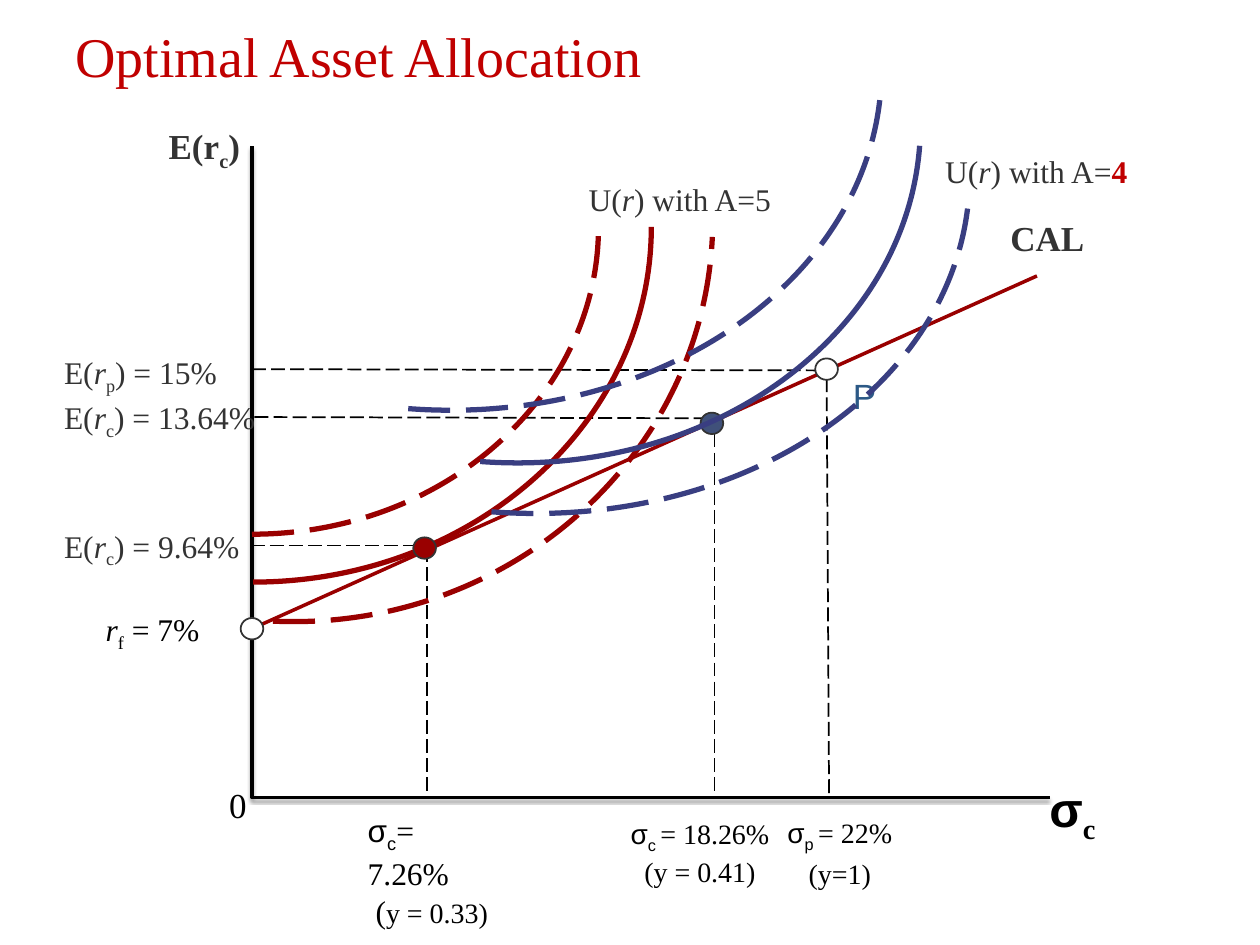
import pptx
import pptx.util
import pptx.dml.color
import pptx.enum.dml
import pptx.enum.shapes
import pptx.enum.text
import pptx.oxml
import pptx.oxml.ns
from dataclasses import dataclass

Inches = pptx.util.Inches
Pt = pptx.util.Pt
qn = pptx.oxml.ns.qn


@dataclass(frozen=True)
class Theme:
    serif: str = "Times New Roman"
    sans: str = "Arial"
    black: str = "000000"
    white: str = "FFFFFF"
    gray: str = "333333"
    red: str = "990000"
    accent: str = "C00000"
    navy: str = "393E81"
    slate: str = "40517A"
    blue: str = "2C5986"
    title: int = 32
    symbol: int = 28
    heading: int = 20
    label: int = 18
    note: int = 16


theme = Theme()
sub = {"sub": True}
italic = {"italic": True}
serif = {"name": theme.serif}
sans = {"name": theme.sans}
sans_sub = {**sans, **sub}

axes = [(2, 1.16), (2, 6.33), (8.33, 6.33)]
capital_line = ((2, 4.99), (8.23, 2.19))
guides = [
    ((2, 2.93), (6.56, 2.94)), ((6.56, 2.85), (6.58, 6.33)),
    ((1.99, 4.33), (3.39, 4.33)), ((3.39, 4.35), (3.39, 6.33)),
    ((2.02, 3.31), (5.58, 3.32)), ((5.67, 3.44), (5.67, 6.31)),
]
optimal_red = ((2.01, 1.8, 3.16, 2.82), 0, theme.red, False)
other_curves = [
    ((2, 1.8, 2.75, 2.44), 0, theme.red, True),
    ((2.24, 1.8, 3.34, 3.21), 2.7, theme.red, True),
    ((3.34, 0.57, 3.55, 2.81), 4.3, theme.navy, True),
    ((3.91, 1.03, 3.29, 2.76), 4.3, theme.navy, False),
    ((4, 1.41, 3.59, 2.79), 4.3, theme.navy, True),
]
markers = [
    (6.56, 2.93, theme.white), (3.37, 4.35, theme.red),
    (2, 4.99, theme.white), (5.65, 3.36, theme.slate),
]


def expected_return(top, width, letter, value):
    runs = [("E(", {}), ("r", italic), (letter, sub), (f") = {value}", {})]
    return dict(at=(0.41, top, width, 0.44), wrap=False, color=theme.gray, lines=[runs])


def utility(left, top, *ending):
    runs = [("U(", {}), ("r", italic), *ending]
    return dict(at=(left, top, 1.85, 0.4), center=True, color=theme.gray, lines=[runs])


labels = [
    dict(at=(0.5, 0.17, 9, 0.58), size=theme.title, color=theme.accent, bottom=True,
         lines=[[("Optimal Asset Allocation", {})]]),
    expected_return(2.75, 1.41, "p", "15%"),
    expected_return(3.11, 1.72, "c", "13.64%"),
    expected_return(4.13, 1.59, "c", "9.64%"),
    dict(at=(0.74, 4.79, 1, 0.44), wrap=False,
         lines=[[("r", italic), ("f", sub), (" = 7%", {})]]),
    dict(at=(1.72, 6.17, 0.29, 0.43), size=theme.heading, lines=[[("0", {})]]),
    dict(at=(6.67, 2.92, 0.38, 0.43), size=theme.heading, font=theme.sans,
         color=theme.blue, wrap=False, lines=[[("P", {})]]),
    dict(at=(7.92, 1.67, 1.08, 0.43), size=theme.heading, color=theme.gray,
         bold=True, lines=[[("CAL", {})]]),
    dict(at=(1.24, 0.94, 1, 0.48), size=theme.heading, color=theme.gray,
         bold=True, lines=[[("E(r", {}), ("c", sub), (")", {})]]),
    utility(4.47, 1.38, (") with A=5", {})),
    utility(7.3, 1.16, (") with A=", {}), ("4", {"bold": True, "color": theme.accent})),
    dict(at=(8.23, 6.13, 0.67, 0.63), size=theme.symbol, bold=True, font=None,
         lines=[[("σ", sans), ("c", {**serif, **sub})]]),
    dict(at=(2.82, 6.39, 1.2, 1.07), font=None,
         lines=[[("σ", sans), ("c", sans_sub), ("= 7.26%", serif)],
                [(" (", serif), ("y = 0.33)", {**serif, "size": theme.note})]]),
    dict(at=(4.88, 6.43, 1.35, 0.67), size=theme.note, font=None, center=True,
         lines=[[("σ", sans), ("c ", sans_sub), ("= 18.26%", serif)],
                [("(y = 0.41)", serif)]]),
    dict(at=(6.08, 6.42, 1.17, 0.7), size=theme.note, font=None, center=True, gap=2,
         lines=[[("σ", sans), ("p ", sans_sub), ("= 22%", serif)],
                [("(y=1)", serif)]]),
]


def rgb(color):
    return pptx.dml.color.RGBColor.from_string(color)


def style_line(line, color, width, dashed=False):
    line.color.rgb = rgb(color)
    line.width = Pt(width)
    if dashed:
        line.dash_style = pptx.enum.dml.MSO_LINE.LONG_DASH


def style_font(font, name=None, size=None, color=None, bold=None, italic=None):
    if name:
        font.name = name
    if size:
        font.size = Pt(size)
    if color:
        font.color.rgb = rgb(color)
    if bold is not None:
        font.bold = bold
    if italic is not None:
        font.italic = italic


def add_outline(page, points, color, width, dashed=False):
    start, *others = [tuple(map(Inches, point)) for point in points]
    builder = page.shapes.build_freeform(*start)
    builder.add_line_segments(others, close=False)
    shape = builder.convert_to_shape()
    shape.shadow.inherit = False
    shape.fill.background()
    style_line(shape.line, color, width, dashed)
    return shape


def add_curve(page, area, rotation, color, dashed):
    left, top, width, height = area
    pull = 0.5523
    right, bottom = left + width, top + height
    controls = [(left, bottom), (left + pull * width, bottom),
                (right, top + pull * height), (right, top)]
    shape = add_outline(page, controls, color, 3, dashed)
    shape.rotation = rotation
    segments = list(shape._element.spPr.iter(qn("a:lnTo")))
    bend = pptx.oxml.parse_xml(f'<a:cubicBezTo {pptx.oxml.ns.nsdecls("a")}/>')
    segments[0].addprevious(bend)
    for segment in segments:
        bend.append(segment[0])
        segment.getparent().remove(segment)


def add_line(page, start, end, color, width, dashed=False):
    line = page.shapes.add_connector(pptx.enum.shapes.MSO_CONNECTOR.STRAIGHT,
                                     *map(Inches, start + end))
    style_line(line.line, color, width, dashed)
    line._element.spPr.append(pptx.oxml.parse_xml(
        f'<a:effectLst {pptx.oxml.ns.nsdecls("a")}/>'))


def add_marker(page, x, y, color):
    width, height = 0.18, 0.17
    dot = page.shapes.add_shape(
        pptx.enum.shapes.MSO_SHAPE.OVAL,
        *map(Inches, (x - width / 2, y - height / 2, width, height)))
    dot.shadow.inherit = False
    dot.fill.solid()
    dot.fill.fore_color.rgb = rgb(color)
    style_line(dot.line, theme.gray, 1)


def add_label(page, at, lines, size=theme.label, color=theme.black, font=theme.serif,
              bold=None, center=False, wrap=True, bottom=False, gap=0):
    box = page.shapes.add_textbox(*map(Inches, at))
    frame = box.text_frame
    frame.word_wrap = wrap
    if bottom:
        frame.vertical_anchor = pptx.enum.text.MSO_ANCHOR.BOTTOM
    else:
        frame.auto_size = pptx.enum.text.MSO_AUTO_SIZE.SHAPE_TO_FIT_TEXT
    for index, runs in enumerate(lines):
        para = frame.add_paragraph() if index else frame.paragraphs[0]
        if center:
            para.alignment = pptx.enum.text.PP_ALIGN.CENTER
        if index and gap:
            para.space_before = Pt(gap)
        style_font(para.font, font, size, color, bold)
        for text, style in runs:
            span = para.add_run()
            span.text = text
            style_font(span.font, **{k: v for k, v in style.items() if k != "sub"})
            if style.get("sub"):
                span._r.get_or_add_rPr().set("baseline", "-25000")


def main():
    deck = pptx.Presentation()
    deck.slide_width, deck.slide_height = Inches(10), Inches(7.5)
    page = deck.slides.add_slide(deck.slide_layouts[6])
    frame = add_outline(page, axes, theme.black, 2)
    effects = frame._element.spPr.find(qn("a:effectLst"))
    effects.append(pptx.oxml.parse_xml(
        f'<a:outerShdw {pptx.oxml.ns.nsdecls("a")} blurRad="20000" dist="20000" dir="5400000">'
        f'<a:srgbClr val="{theme.black}"><a:alpha val="38000"/></a:srgbClr></a:outerShdw>'))
    add_line(page, *capital_line, theme.red, 2)
    for start, end in guides:
        add_line(page, start, end, theme.black, 1, dashed=True)
    add_curve(page, *optimal_red)
    for label in labels:
        add_label(page, **label)
    for marker in markers:
        add_marker(page, *marker)
    for curve in other_curves:
        add_curve(page, *curve)
    deck.save("out.pptx")


if __name__ == "__main__":
    main()
